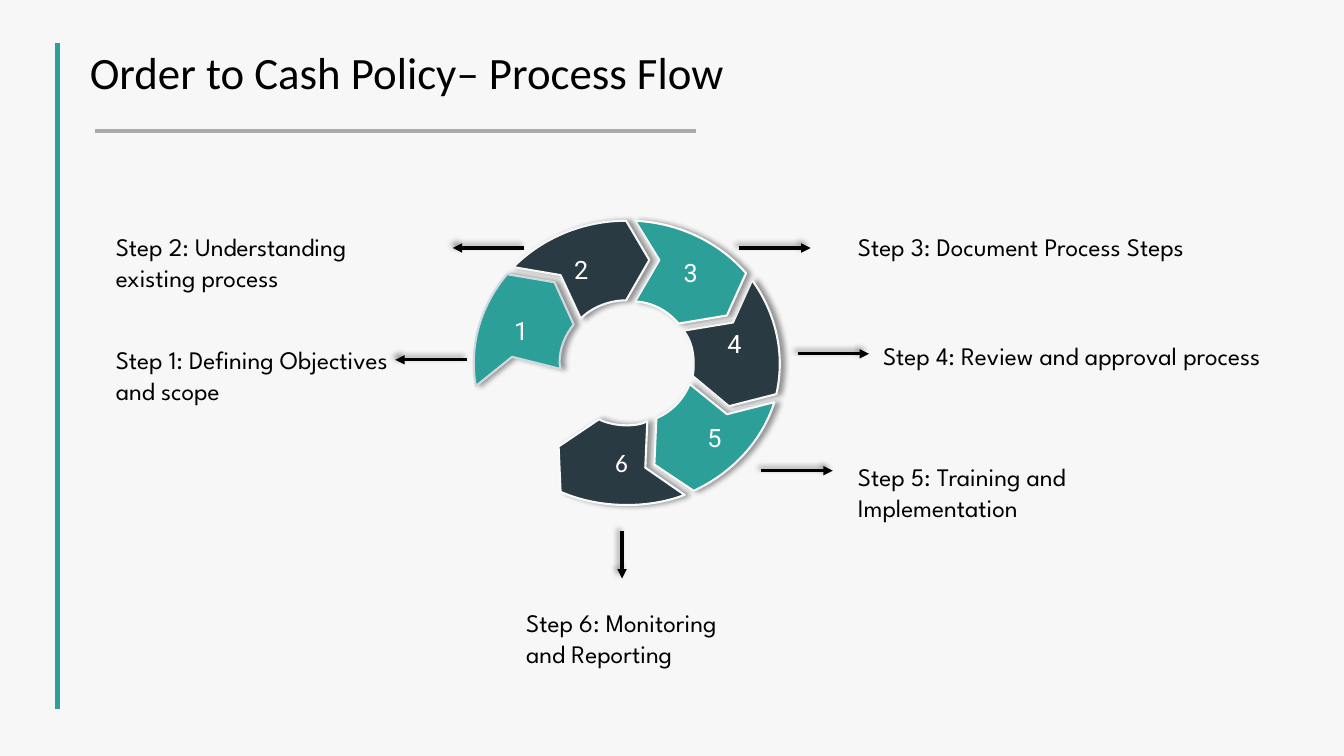
from dataclasses import dataclass

from pptx import Presentation
from pptx import util as u
from pptx.dml.color import RGBColor
from pptx.enum import shapes, text
from pptx.oxml import parse_xml
from pptx.oxml.ns import nsdecls, qn


@dataclass(frozen=True)
class Theme:
    background: str = "F7F7F7"
    teal: str = "2C9F98"
    dark: str = "293A42"
    rule: str = "AFABAB"
    ink: str = "000000"
    white: str = "FFFFFF"
    pale: str = "F8FAFB"
    mist: str = "CFD9E0"
    title_size: float = 32
    body_size: float = 18
    title_font: str = "Calibri"
    label_font: str = "League Spartan"
    number_font: str = "Roboto"


THEME = Theme()
ARROW = 0.71


@dataclass
class Step:
    """An outline holds (x, y) corners and (control, control, end) curves."""
    number: int
    label: str
    label_box: tuple
    arrow: tuple
    outline: list
    border: str = THEME.background
    number_font: str = THEME.number_font


STEPS = [
    Step(4, "Review and approval process", (8.66, 3.33, 4.7, 0.4),
         (7.91, 3.51, 7.91 + ARROW, 3.51),
         [(7.46, 2.78), (7.27, 3.2), (6.78, 3.28),
          ((6.85, 3.37), (6.88, 3.48), (6.88, 3.6)),
          ((6.88, 3.64), (6.88, 3.69), (6.87, 3.73)),
          (7.23, 4.03), (7.7, 3.91),
          ((7.79, 3.52), (7.7, 3.11), (7.46, 2.78))]),
    Step(3, "Document Process Steps", (8.41, 2.25, 4.03, 0.4),
         (7.33, 2.46, 7.33 + ARROW, 2.46),
         [(6.3, 2.19), (6.54, 2.58), (6.3, 2.99),
          ((6.47, 3), (6.62, 3.08), (6.73, 3.21)),
          (7.21, 3.13), (7.4, 2.71),
          ((7.13, 2.4), (6.73, 2.21), (6.3, 2.19))], THEME.white),
    Step(6, "Monitoring and Reporting", (5.12, 5.98, 2.28, 0.71),
         (6.17, 5.27, 6.17, 5.74),
         [(5.94, 4.16), (5.54, 4.43), (5.56, 4.88),
          ((5.77, 4.97), (5.99, 5.01), (6.22, 5.01)),
          ((6.41, 5.01), (6.61, 4.98), (6.79, 4.91)),
          (6.4, 4.64), (6.42, 4.18),
          ((6.36, 4.21), (6.29, 4.22), (6.22, 4.22)),
          ((6.12, 4.22), (6.02, 4.2), (5.94, 4.16))],
         THEME.pale, THEME.title_font),
    Step(5, "Training and Implementation", (8.41, 4.53, 3.71, 0.71),
         (7.55, 4.67, 7.55 + ARROW, 4.67),
         [(6.84, 3.81), ((6.78, 3.96), (6.67, 4.08), (6.51, 4.15)),
          (6.49, 4.61), (6.88, 4.87),
          ((7.27, 4.69), (7.56, 4.37), (7.68, 3.99)),
          (7.21, 4.11), (6.84, 3.81)]),
    Step(1, "Defining Objectives and scope", (1.05, 3.37, 3.08, 0.71),
         (4.63, 3.57, 4.63 - ARROW, 3.57),
         [(5.03, 2.72), ((4.76, 3.04), (4.65, 3.44), (4.72, 3.83)),
          (5.08, 3.54), (5.56, 3.66),
          ((5.56, 3.64), (5.55, 3.62), (5.55, 3.6)),
          ((5.55, 3.46), (5.6, 3.33), (5.69, 3.22)),
          (5.5, 2.8), (5.03, 2.72)], THEME.mist),
    Step(2, "Understanding existing process", (1.05, 2.25, 3.08, 0.71),
         (5.2, 2.46, 5.2 - ARROW, 2.46),
         [(6.21, 2.19), ((5.78, 2.19), (5.38, 2.36), (5.09, 2.65)),
          (5.56, 2.73), (5.76, 3.16),
          ((5.87, 3.05), (6.04, 2.98), (6.21, 2.98)),
          (6.44, 2.58), (6.21, 2.19)]),
]


def rgb(value):
    return RGBColor.from_string(value)


def set_effects(shape, direction=None):
    """Give a soft shadow cast in a direction in degrees, or none at all."""
    shadow = "" if direction is None else (
        f'<a:outerShdw blurRad="{u.Pt(4)}" dist="{u.Pt(3)}" '
        f'dir="{direction * 60000}" algn="tl" rotWithShape="0">'
        f'<a:srgbClr val="{THEME.ink}"><a:alpha val="40000"/></a:srgbClr>'
        '</a:outerShdw>')
    shape._element.spPr.append(parse_xml(
        f'<a:effectLst {nsdecls("a")}>{shadow}</a:effectLst>'))


def write(frame, words, font, size, color, paragraph_format, **frame_format):
    frame_format.setdefault("word_wrap", True)
    for name, value in frame_format.items():
        setattr(frame, name, value)
    paragraph = frame.paragraphs[0]
    for name, value in paragraph_format.items():
        setattr(paragraph, name, value)
    run = paragraph.add_run()
    run.text = words
    for name, value in {"name": font, "size": u.Pt(size)}.items():
        setattr(run.font, name, value)
    run.font.color.rgb = rgb(color)


def add_title(slide, words):
    title = slide.shapes.title
    box = dict(left=0.79, top=0.4, width=9.73, height=1.01)
    for name, value in box.items():
        setattr(title, name, u.Inches(value))
    margins = {f"margin_{side}": u.Inches(0.1)
               for side in ("left", "top", "right", "bottom")}
    write(title.text_frame, words, THEME.title_font, THEME.title_size, THEME.ink,
          {"alignment": text.PP_ALIGN.LEFT, "line_spacing": 0.9},
          vertical_anchor=text.MSO_ANCHOR.TOP,
          auto_size=text.MSO_AUTO_SIZE.NONE, **margins)


def add_line(slide, ends, color, width):
    line = slide.shapes.add_connector(
        shapes.MSO_CONNECTOR.STRAIGHT, *map(u.Inches, ends))
    line.line.color.rgb = rgb(color)
    line.line.width = u.Pt(width)
    return line


def add_rule(slide, ends, color, width):
    set_effects(add_line(slide, ends, color, width))


def add_arrow(slide, ends):
    arrow = add_line(slide, ends, THEME.ink, 2.25)
    arrow.line._get_or_add_ln().append(
        parse_xml(f'<a:tailEnd {nsdecls("a")} type="triangle"/>'))
    set_effects(arrow, 225)


def build_outline(ring, outline):
    """Lay all points as lines, then merge each curve's three into one Bézier."""
    start, *parts = outline
    points = []
    for part in parts:
        points.extend([part] if len(part) == 2 else part)
    builder = ring.shapes.build_freeform(*map(u.Inches, start))
    builder.add_line_segments([tuple(map(u.Inches, point)) for point in points])
    segment = builder.convert_to_shape()
    lines = iter(list(segment._element.iter(qn("a:lnTo"))))
    for part in parts:
        line = next(lines)
        if len(part) == 3:
            curve = parse_xml(f'<a:cubicBezTo {nsdecls("a")}/>')
            line.addprevious(curve)
            for control in (line, next(lines), next(lines)):
                curve.append(control[0])
                control.getparent().remove(control)
    return segment


def add_segment(ring, step):
    segment = build_outline(ring, step.outline)
    segment.fill.solid()
    segment.fill.fore_color.rgb = rgb(THEME.teal if step.number % 2 else THEME.dark)
    segment.line.color.rgb = rgb(step.border)
    segment.line.width = u.Pt(1.5)
    set_effects(segment, 0)
    write(segment.text_frame, str(step.number), step.number_font,
          THEME.body_size, THEME.white, {"alignment": text.PP_ALIGN.CENTER},
          vertical_anchor=text.MSO_ANCHOR.MIDDLE)


def add_label(slide, step):
    label = slide.shapes.add_textbox(*map(u.Inches, step.label_box))
    write(label.text_frame, f"Step {step.number}: {step.label}", THEME.label_font,
          THEME.body_size, THEME.ink, {},
          auto_size=text.MSO_AUTO_SIZE.SHAPE_TO_FIT_TEXT)


def main():
    deck = Presentation()
    deck.slide_width, deck.slide_height = u.Inches(13.33), u.Inches(7.5)
    slide = deck.slides.add_slide(deck.slide_layouts.get_by_name("Title Only"))
    slide.background.fill.solid()
    slide.background.fill.fore_color.rgb = rgb(THEME.background)

    add_title(slide, "Order to Cash Policy– Process Flow")
    add_rule(slide, (0.57, 0.43, 0.57, 7.03), THEME.teal, 3.25)
    add_rule(slide, (0.94, 1.3, 6.9, 1.3), THEME.rule, 3)
    ring = slide.shapes.add_group_shape()
    for step in STEPS:
        add_segment(ring, step)
    for step in sorted(STEPS, key=lambda step: step.number):
        add_arrow(slide, step.arrow)
        add_label(slide, step)
    deck.save("out.pptx")


if __name__ == "__main__":
    main()
